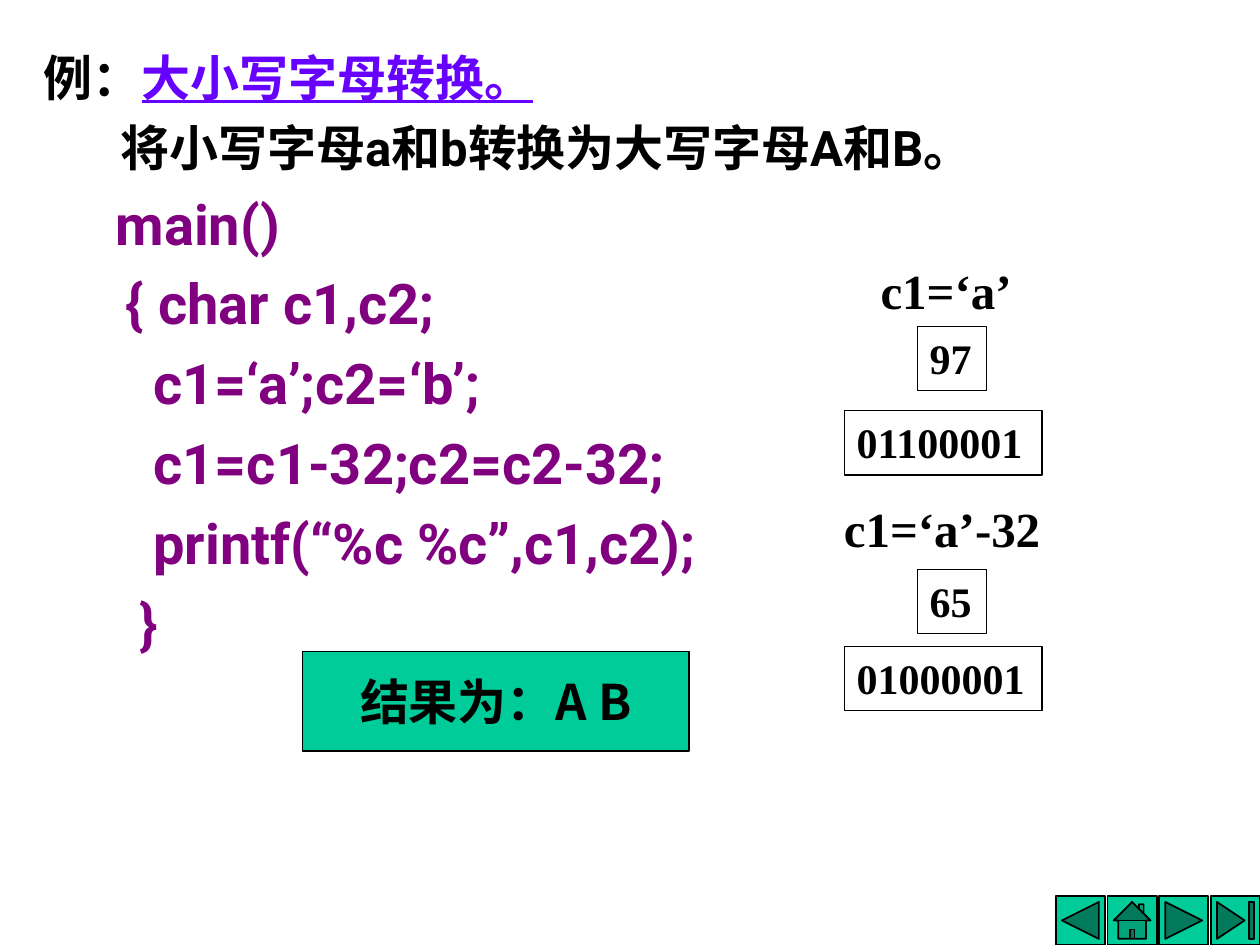
from pptx import Presentation
from pptx.dml.color import RGBColor
from pptx.enum.shapes import MSO_SHAPE
from pptx.enum.text import MSO_ANCHOR, PP_ALIGN
from pptx.oxml.ns import qn
from pptx.util import Inches, Pt

RECT = MSO_SHAPE.RECTANGLE
BUTTONS = [MSO_SHAPE.ACTION_BUTTON_BACK_OR_PREVIOUS, MSO_SHAPE.ACTION_BUTTON_HOME,
           MSO_SHAPE.ACTION_BUTTON_FORWARD_OR_NEXT, MSO_SHAPE.ACTION_BUTTON_END]
TOP, MIDDLE = MSO_ANCHOR.TOP, MSO_ANCHOR.MIDDLE
LEFT, CENTER = PP_ALIGN.LEFT, PP_ALIGN.CENTER
COLORS = {"ink": "000000", "title": "6600FF", "code": "800080", "green": "00CC99"}
BODY, SERIF, CJK = "Roboto", "Times New Roman", "Noto Sans CJK SC"


class Deck:
    def __init__(self, s):
        self.s = s

    def color(self, name):
        return RGBColor.from_string(COLORS[name])

    def run(self, p, text, size, font, color="ink", underline=False):
        r = p.add_run()
        r.text = text
        r.font.size, r.font.bold, r.font.name = Pt(size), True, font
        r.font.color.rgb = self.color(color)
        if underline:
            r.font.underline = True
        ea = r.font._element.makeelement(qn("a:ea"), {"typeface": font})
        r.font._element.find(qn("a:latin")).addnext(ea)

    def shape(self, kind, x, y, w, h, fill=None, line=0.75):
        sp = self.s.shapes.add_shape(kind, Inches(x), Inches(y), Inches(w), Inches(h))
        sp.shadow.inherit = False
        if fill:
            sp.fill.solid()
            sp.fill.fore_color.rgb = self.color(fill)
        else:
            sp.fill.background()
        sp.line.color.rgb = self.color("ink")
        sp.line.width = Pt(line)
        return sp

    def box(self, text, x, y, w, h, size=24, font=SERIF, fill=None,
            align=LEFT, anchor=TOP, wrap=True):
        tf = self.shape(RECT, x, y, w, h, fill).text_frame
        tf.word_wrap, tf.vertical_anchor = wrap, anchor
        p = tf.paragraphs[0]
        p.alignment = align
        self.run(p, text, size, font)

    def text(self, x, y, w, h):
        tf = self.s.shapes.add_textbox(Inches(x), Inches(y), Inches(w), Inches(h)).text_frame
        tf.word_wrap = True
        return tf

    def label(self, text, x, y, w, h):
        self.run(self.text(x, y, w, h).paragraphs[0], text, 28, SERIF)

    def lines(self, rows, x, y, w, h):
        tf = self.text(x, y, w, h)
        for i, (indent, size, runs) in enumerate(rows):
            p = tf.paragraphs[0] if i == 0 else tf.add_paragraph()
            p.space_before = Pt(size * 0.225)
            p._p.get_or_add_pPr().set("marL", str(Inches(indent)))
            for text, color, underline in runs:
                self.run(p, text, size, BODY, color, underline)


prs = Presentation()
prs.slide_width, prs.slide_height = Inches(10), Inches(7.5)
deck = Deck(prs.slides.add_slide(prs.slide_layouts[6]))

for i, kind in enumerate(BUTTONS):
    deck.shape(kind, 8.38 + 0.41 * i, 7.11, 0.39, 0.39, "green", 1)

CODE = [(0.57, "main()"), (0.65, "{ char c1,c2;"), (0.87, "c1=‘a’;c2=‘b’;"),
        (0.87, "c1=c1-32;c2=c2-32;"), (0.87, "printf(“%c %c”,c1,c2);"), (0.76, "}")]
rows = [(0, 28, [("例：", "ink", False), ("大小写字母转换。", "title", True)]),
        (0.61, 28, [("将小写字母a和b转换为大写字母A和B。", "ink", False)])]
rows += [(indent, 32, [(text, "code", False)]) for indent, text in CODE]
deck.lines(rows, 0.25, 0.33, 9.4, 4.99)

deck.label("c1=‘a’", 6.89, 2.02, 1.49, 0.57)
deck.label("c1=‘a’-32", 6.6, 3.91, 1.9, 0.57)
for code, bits, code_y, bits_y in [("97", "01100001", 2.59, 3.26),
                                   ("65", "01000001", 4.52, 5.13)]:
    deck.box(code, 7.28, code_y, 0.55, 0.51, wrap=False)
    deck.box(bits, 6.7, bits_y, 1.57, 0.51)
deck.box("结果为：A B", 2.4, 5.17, 3.07, 0.79, 28, CJK, "green", CENTER, MIDDLE, False)

prs.save("out.pptx")
